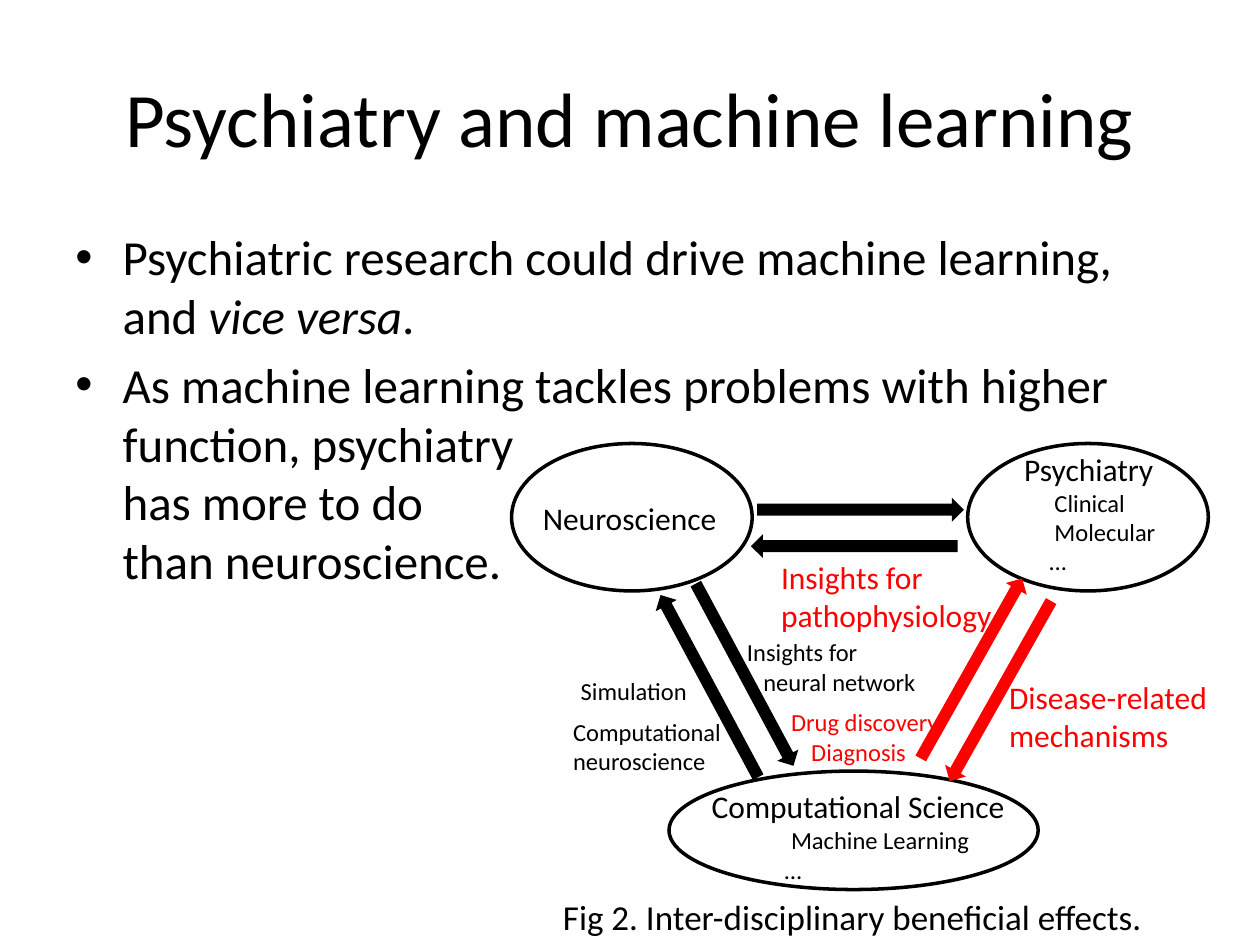
from dataclasses import dataclass

from lxml.etree import SubElement
from pptx import Presentation
from pptx.dml.color import RGBColor as Rgb
from pptx.enum.shapes import MSO_SHAPE as Kind
from pptx.enum.text import MSO_ANCHOR as Anchor, PP_ALIGN as Align
from pptx.oxml.ns import qn
from pptx.util import Inches, Pt

COLS, ROWS = 100, 75
FONT = "Calibri"
INK = {"black": "000000", "red": "FF0000"}


@dataclass
class Box:
    col: float
    row: float
    wide: float
    high: float


@dataclass
class Line:
    text: str
    size: float
    indent: float = 0


@dataclass
class Label:
    box: Box
    lines: list[Line]
    ink: str = "black"


@dataclass
class Arrow:
    col: float
    row: float
    turn: float
    ink: str = "black"


deck = Presentation()
deck.slide_width, deck.slide_height = Inches(10), Inches(7.5)
slide = deck.slides.add_slide(deck.slide_layouts[5])
shapes = slide.shapes


def across(cols: float) -> int:
    return round(deck.slide_width * cols / COLS)


def down(rows: float) -> int:
    return round(deck.slide_height * rows / ROWS)


def place(box: Box) -> tuple[int, int, int, int]:
    return across(box.col), down(box.row), across(box.wide), down(box.high)


def write(frame, lines: list[Line], ink="black", wrap=False, bullet=False,
          align=Align.LEFT, anchor=Anchor.TOP, before=0) -> None:
    frame.word_wrap = wrap
    frame.vertical_anchor = anchor
    for i, line in enumerate(lines):
        para = frame.add_paragraph() if i else frame.paragraphs[0]
        para.alignment = align
        para.space_before = Pt(before)
        props = para._p.get_or_add_pPr()
        props.set("marL", str(across(line.indent)))
        props.set("indent", str(-across(line.indent) if bullet else 0))
        if bullet:
            SubElement(props, qn("a:buFont"), typeface="Arial")
            SubElement(props, qn("a:buChar"), char="•")
        for j, row in enumerate(line.text.split("\n")):
            if j:
                para.add_line_break()
            for k, piece in enumerate(row.split("*")):
                run = para.add_run()
                run.text = piece
                run.font.name, run.font.size = FONT, Pt(line.size)
                run.font.italic = k % 2 == 1
                run.font.color.rgb = Rgb.from_string(INK[ink])


def oval(box: Box) -> None:
    shape = shapes.add_shape(Kind.OVAL, *place(box))
    shape.shadow.inherit = False
    shape.fill.background()
    shape.line.color.rgb = Rgb.from_string(INK["black"])
    shape.line.width = Pt(2)


def point(arrow: Arrow) -> None:
    box = Box(arrow.col, arrow.row, 16.4, 1.9)
    shape = shapes.add_shape(Kind.RIGHT_ARROW, *place(box))
    shape.shadow.inherit = False
    shape.rotation = arrow.turn
    shape.fill.solid()
    shape.fill.fore_color.rgb = Rgb.from_string(INK[arrow.ink])
    shape.line.fill.background()


def label(item: Label) -> None:
    area = shapes.add_textbox(*place(item.box))
    write(area.text_frame, item.lines, ink=item.ink)


title = shapes.title
title.left, title.top, title.width, title.height = place(Box(5, 3, 90, 12.5))
write(title.text_frame, [Line("Psychiatry and machine learning", 44)],
      wrap=True, align=Align.CENTER, anchor=Anchor.MIDDLE)

body = shapes.add_textbox(*place(Box(5, 17.5, 90, 49.5)))
write(body.text_frame, [
    Line("Psychiatric research could drive machine learning, "
         "and *vice versa*.", 28, 3.75),
    Line("As machine learning tackles problems with higher function, "
         "psychiatry\nhas more to do\nthan neuroscience.", 28, 3.75),
], wrap=True, bullet=True, before=5.6)

OVALS = [
    Box(76.8, 35.2, 19.1, 11.7),
    Box(40.6, 35.2, 19.1, 11.7),
    Box(53.1, 61.2, 29.3, 9.4),
]
DOWN, BACK = 61.8, 119.4
ARROWS = [
    Arrow(60.1, 39.5, 0),
    Arrow(59.6, 42.4, 180),
    Arrow(50.9, 52.6, DOWN),
    Arrow(48.1, 53.5, DOWN + 180),
    Arrow(71.2, 53.9, BACK, "red"),
    Arrow(68.9, 52.1, BACK + 180, "red"),
]
LABELS = [
    Label(Box(80.3, 35.2, 13.1, 11.1), [
        Line("Psychiatry", 18), Line("Clinical", 14, 2.4),
        Line("Molecular", 14, 2.4), Line("…", 14, 2)]),
    Label(Box(42.1, 39.1, 16, 4), [Line("Neuroscience", 18)]),
    Label(Box(55.5, 62, 25.6, 8.8), [
        Line("Computational Science", 18),
        Line("Machine Learning", 14, 6.3), Line("…", 14, 5.8)]),
    Label(Box(44.5, 56.4, 13.9, 5.7), [Line("Computational\nneuroscience", 14)]),
    Label(Box(45.1, 53.2, 10.5, 3.4), [Line("Simulation", 14)]),
    Label(Box(57.9, 50.1, 16, 5.7), [
        Line("Insights for", 14, 0.4), Line("neural network", 14, 1.7)]),
    Label(Box(79.1, 53.3, 17.9, 7.1),
          [Line("Disease-related\nmechanisms", 18)], "red"),
    Label(Box(61, 43.8, 18.9, 7.1),
          [Line("Insights for\npathophysiology", 18)], "red"),
    Label(Box(43.7, 70.6, 48.6, 4.4),
          [Line("Fig 2. Inter-disciplinary beneficial effects.", 20)]),
    Label(Box(63.4, 58, 9.6, 3.4), [Line("Diagnosis", 14)], "red"),
    Label(Box(61.8, 55.6, 13.9, 3.4), [Line("Drug discovery", 14)], "red"),
]

for draw, items in ((oval, OVALS), (point, ARROWS), (label, LABELS)):
    for item in items:
        draw(item)

deck.save("out.pptx")
